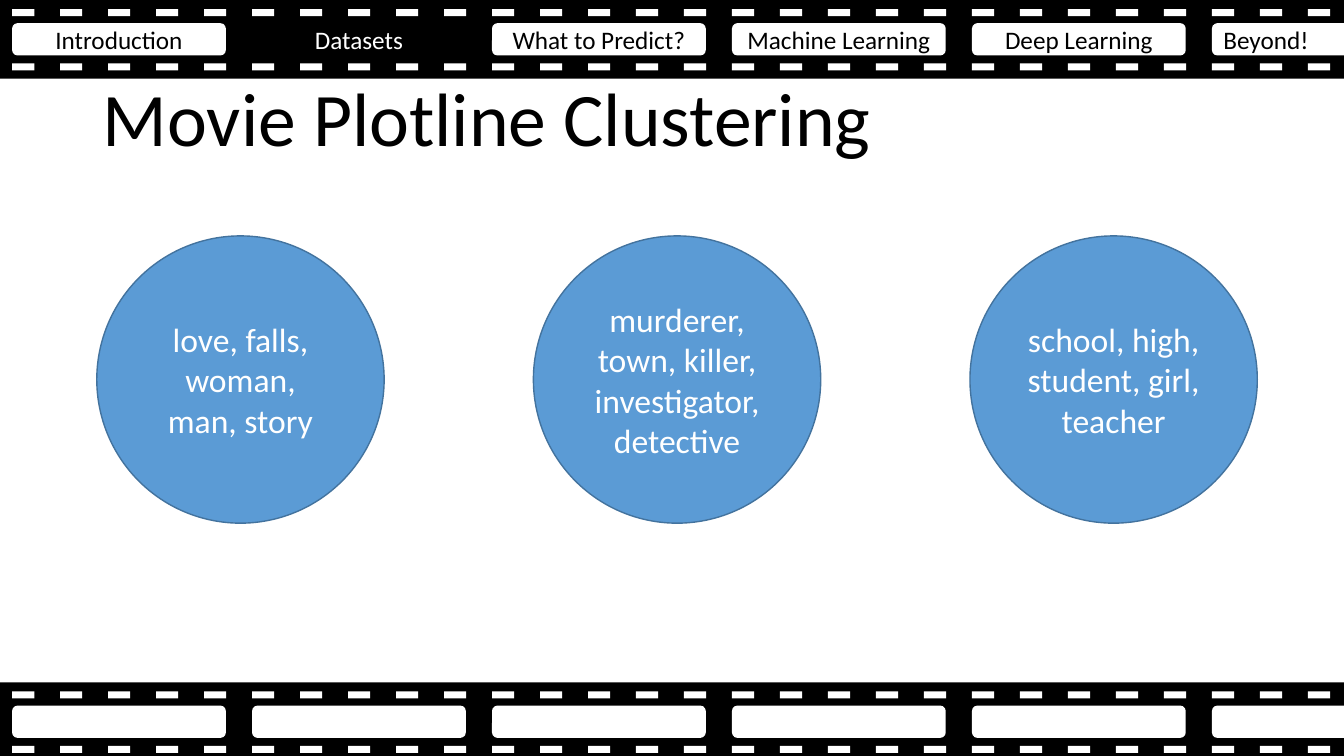
from pptx import Presentation
from pptx.dml.color import RGBColor
from pptx.enum.shapes import MSO_SHAPE as SHAPE
from pptx.enum.text import MSO_ANCHOR as ANCHOR, PP_ALIGN as ALIGN
from pptx.util import Inches, Pt

BLACK, WHITE = "000000", "FFFFFF"
MARGIN = 0.12
FRAME_PITCH = 2.38
HOLES_PER_FRAME = 5
HOLE_COUNT = 28
SECTIONS = ["Introduction", "Datasets", "What to Predict?",
            "Machine Learning", "Deep Learning", "Beyond!"]
CURRENT_SECTION = "Datasets"
CLUSTERS = ["love, falls, woman, man, story",
            "murderer, town, killer, investigator, detective",
            "school, high, student, girl, teacher"]


def rgb(code):
    return RGBColor.from_string(code)


def write(shape, text, size=18, color=BLACK, align=ALIGN.CENTER, spacing=1.0):
    frame = shape.text_frame
    frame.word_wrap = True
    frame.vertical_anchor = ANCHOR.MIDDLE
    paragraph = frame.paragraphs[0]
    paragraph.alignment = align
    paragraph.line_spacing = spacing
    run = paragraph.add_run()
    run.text = text
    run.font.name = "Calibri"
    run.font.size = Pt(size)
    run.font.color.rgb = rgb(color)


class FilmSlide:
    """A slide framed by film strips, with its drawing style."""

    accent = "5B9BD5"
    outline = "43739E"

    def __init__(self, deck):
        self.slide = deck.slides.add_slide(deck.slide_layouts[5])

    def title(self, text):
        heading = self.slide.shapes.title
        heading.left, heading.top = Inches(0.92), Inches(0.49)
        heading.width, heading.height = Inches(11.5), Inches(1.45)
        write(heading, text, size=54, align=ALIGN.LEFT, spacing=0.9)

    def block(self, kind, left, top, width, height, fill, line=None):
        shape = self.slide.shapes.add_shape(
            kind, Inches(left), Inches(top), Inches(width), Inches(height))
        shape.shadow.inherit = False
        shape.fill.solid()
        shape.fill.fore_color.rgb = rgb(fill)
        if line:
            shape.line.color.rgb = rgb(line)
            shape.line.width = Pt(1)
        else:
            shape.line.fill.background()
        return shape

    def strip(self, top):
        self.block(SHAPE.RECTANGLE, 0, top, 13.33, 0.78, BLACK)
        for row in (0.63, 0.09):
            for hole in range(HOLE_COUNT):
                left = MARGIN + hole * FRAME_PITCH / HOLES_PER_FRAME
                self.block(SHAPE.RECTANGLE, left, top + row, 0.22, 0.07, WHITE)

    def film_frame(self, index, top, fill=WHITE):
        left = MARGIN + index * FRAME_PITCH
        return self.block(SHAPE.ROUNDED_RECTANGLE, left, top, 2.12, 0.32, fill)

    def section(self, index, name):
        fill, ink = (BLACK, WHITE) if name == CURRENT_SECTION else (WHITE, BLACK)
        align = ALIGN.LEFT if name == SECTIONS[-1] else ALIGN.CENTER
        write(self.film_frame(index, 0.23, fill), name, color=ink, align=align)

    def cluster(self, index, words):
        circle = self.block(SHAPE.OVAL, 0.96 + index * 4.33, 2.34, 2.85, 2.85,
                            self.accent, self.outline)
        write(circle, words, size=24, color=WHITE)


def main():
    deck = Presentation()
    deck.slide_width, deck.slide_height = Inches(13.33), Inches(7.5)
    film = FilmSlide(deck)
    film.title("Movie Plotline Clustering")
    film.strip(0)
    film.strip(6.77)
    for index, name in enumerate(SECTIONS):
        film.film_frame(index, 7)
        film.section(index, name)
    for index, words in enumerate(CLUSTERS):
        film.cluster(index, words)
    deck.save("out.pptx")


if __name__ == "__main__":
    main()
